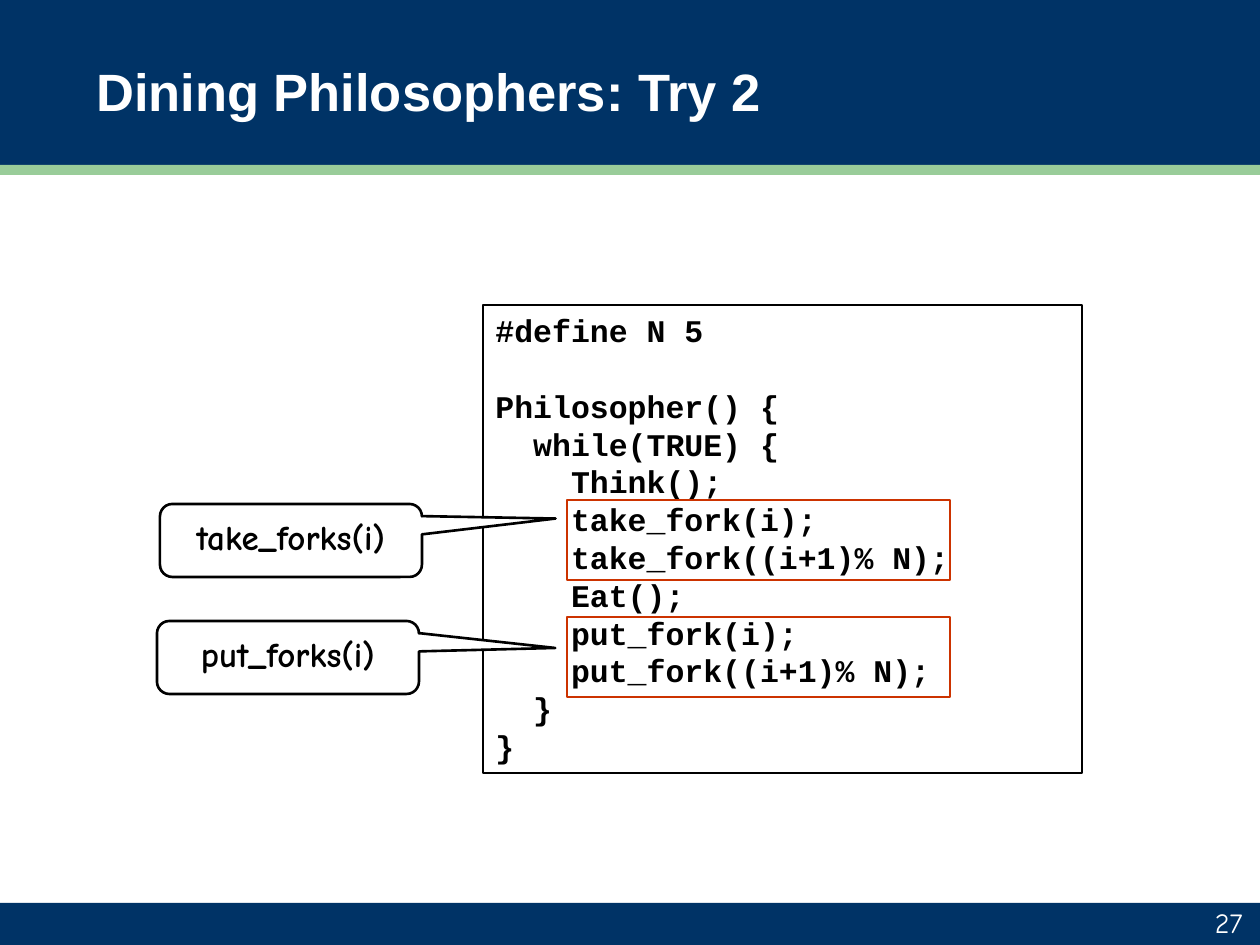
"""Build the Dining Philosophers: Try 2 slide."""
from pptx import Presentation
from pptx.dml.color import RGBColor
from pptx.enum.shapes import MSO_SHAPE
from pptx.enum.text import MSO_ANCHOR, PP_ALIGN
from pptx.util import Pt

RECT = MSO_SHAPE.RECTANGLE
CALLOUT = MSO_SHAPE.ROUNDED_RECTANGULAR_CALLOUT
TOP, MIDDLE, BOTTOM = MSO_ANCHOR.TOP, MSO_ANCHOR.MIDDLE, MSO_ANCHOR.BOTTOM
LEFT, CENTER, RIGHT = PP_ALIGN.LEFT, PP_ALIGN.CENTER, PP_ALIGN.RIGHT
NAVY, GREEN, RED, BLACK, WHITE = "003366", "99CC99", "CC3300", "000000", "FFFFFF"

TITLE = "Dining Philosophers: Try 2"
NUMBER = "27"
CODE = """#define N 5

Philosopher() {
  while(TRUE) {
    Think();
    take_fork(i);
    take_fork((i+1)% N);
    Eat();
    put_fork(i);
    put_fork((i+1)% N);
  }
}"""
BANDS = [((0, 0, 1260, 175), NAVY), ((0, 165, 1260, 10), GREEN), ((0, 903, 1260, 42), NAVY)]
HIGHLIGHT_TOPS = [500, 617]
CALLOUTS = [
    ("take_forks(i)", 160, 504, (1.01, -0.3, 0.17)),
    ("put_forks(i)", 157, 621, (1.02, -0.13, 0.17)),
]


def px(n):
    return round(n * 914400 / 126)


def rgb(color):
    return RGBColor.from_string(color)


def add_box(box, kind=RECT, fill=None, line=None, width=1):
    s = slide.shapes.add_shape(kind, *map(px, box))
    s.shadow.inherit = False
    if fill:
        s.fill.solid()
        s.fill.fore_color.rgb = rgb(fill)
    else:
        s.fill.background()
    if line:
        s.line.color.rgb = rgb(line)
        s.line.width = Pt(width)
    else:
        s.line.fill.background()
    return s


def set_text(s, text, font, size, color, bold=True, align=LEFT, anchor=MIDDLE,
             spacing=None, wrap=True):
    tf = s.text_frame
    tf.word_wrap = wrap
    tf.vertical_anchor = anchor
    tf.text = text
    for p in tf.paragraphs:
        p.alignment = align
        p.line_spacing = spacing
        for f in [p.font] + [r.font for r in p.runs]:
            f.name, f.size, f.bold = font, Pt(size), bold
            f.color.rgb = rgb(color)


prs = Presentation()
prs.slide_width, prs.slide_height = px(1260), px(945)
slide = prs.slides.add_slide(prs.slide_layouts[6])

for box, color in BANDS:
    add_box(box, fill=color)

title = slide.shapes.add_textbox(*map(px, (84, 6, 1092, 168)))
set_text(title, TITLE, "Arial", 30, WHITE)
number = slide.shapes.add_textbox(*map(px, (993, 905, 262, 40)))
set_text(number, NUMBER, "Comic Neue", 16, WHITE, bold=False, align=RIGHT, anchor=BOTTOM)

code = add_box((483, 305, 599, 468), line=BLACK)
set_text(code, CODE, "Courier New", 18, BLACK, anchor=TOP, spacing=Pt(21.6))

for top in HIGHLIGHT_TOPS:
    add_box((567, top, 383, 80), line=RED, width=1.5)

for text, left, top, adjustments in CALLOUTS:
    s = add_box((left, top, 262, 73), CALLOUT, WHITE, BLACK, 1.5)
    for i, value in enumerate(adjustments):
        s.adjustments[i] = value
    set_text(s, text, "Comic Neue", 20, BLACK, align=CENTER, spacing=0.8, wrap=False)

prs.save("out.pptx")
